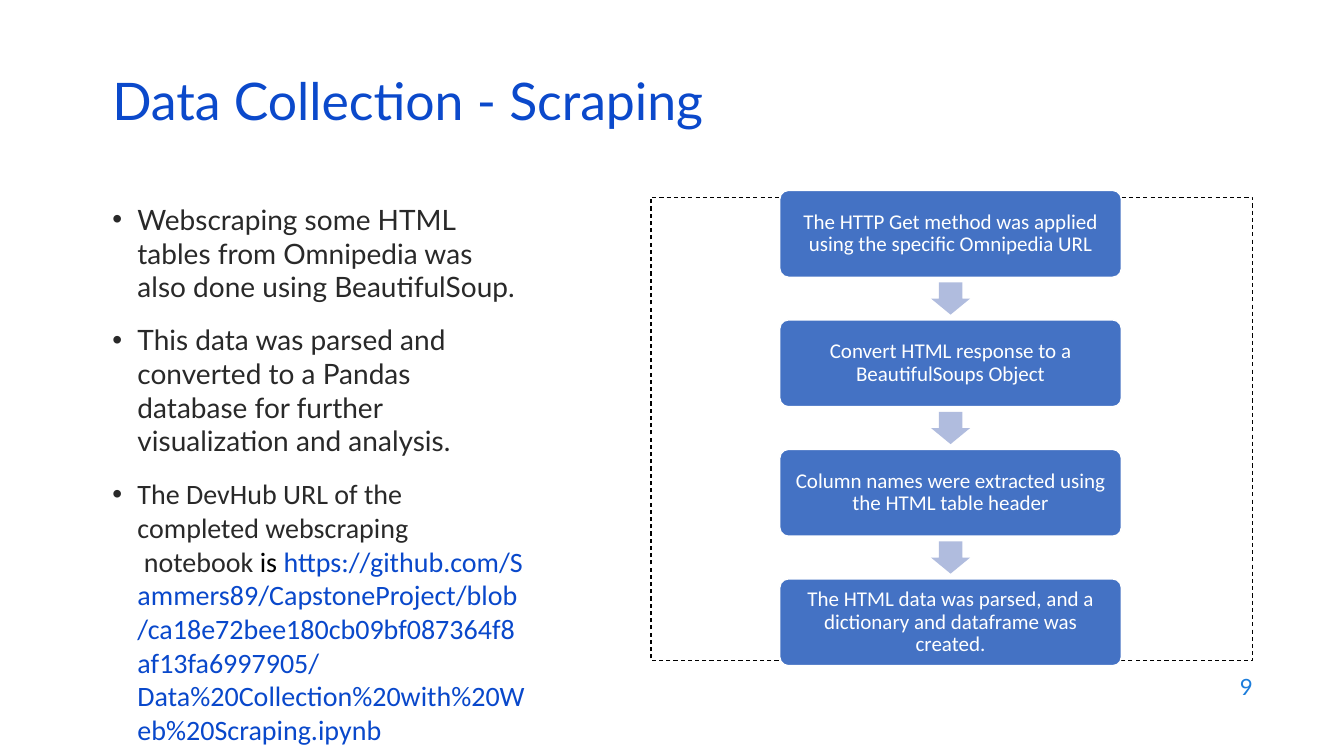
from lxml.etree import SubElement
from pptx import Presentation
from pptx.dml.color import RGBColor
from pptx.enum.dml import MSO_LINE
from pptx.enum.shapes import MSO_SHAPE
from pptx.enum.text import MSO_ANCHOR, MSO_AUTO_SIZE, PP_ALIGN
from pptx.oxml.ns import qn
from pptx.util import Pt

COLORS = {
    "title": "0B49CB",
    "body": "292929",
    "black": "000000",
    "link": "0948CB",
    "number": "1C7DDB",
    "step": "4472C4",
    "arrow": "B0BCDE",
    "white": "FFFFFF",
}
NBSP = chr(160)
URL = (
    "https://github.com/Sammers89/CapstoneProject/blob/"
    "ca18e72bee180cb09bf087364f8af13fa6997905/"
    "Data%20Collection%20with%20Web%20Scraping.ipynb"
)
BULLETS = [
    [("Webscraping some HTML tables from Omnipedia was also done using BeautifulSoup.", "Lato", "body")],
    [("This data was parsed and converted to a Pandas database for further visualization and analysis.", "Lato", "body")],
    [
        (f"The DevHub URL of the completed webscraping {NBSP}notebook{NBSP}", "Calibri", "body"),
        (f"is{NBSP}", "Calibri", "black"),
        (URL, "Calibri", "link"),
    ],
]
STEPS = [
    "The HTTP Get method was applied using the specific Omnipedia URL",
    "Convert HTML response to a BeautifulSoups Object",
    "Column names were extracted using the HTML table header",
    "The HTML data was parsed, and a dictionary and dataframe was created.",
]


def rgb(name):
    return RGBColor.from_string(COLORS[name])


def add_text(para, text, size, color, font="Lato", align=None, spacing=None):
    if align is not None:
        para.alignment = align
    if spacing is not None:
        para.line_spacing = spacing
    span = para.add_run()
    span.text = text
    span.font.name = font
    span.font.size = Pt(size)
    span.font.color.rgb = rgb(color)


class SlideBuilder:
    def __init__(self, page):
        self.page = page
        self.step_size = 15
        self.body_size = 20

    def place(self, shape, left, top, width, height):
        shape.left, shape.top = Pt(left), Pt(top)
        shape.width, shape.height = Pt(width), Pt(height)

    def title(self, text, *bounds):
        shape = self.page.shapes.title
        self.place(shape, *bounds)
        box = shape.text_frame
        box.auto_size = MSO_AUTO_SIZE.NONE
        box.vertical_anchor = MSO_ANCHOR.MIDDLE
        add_text(box.paragraphs[0], text, 37, "title", align=PP_ALIGN.LEFT, spacing=0.7)

    def bullets(self, items, *bounds):
        shape = self.page.placeholders[1]
        self.place(shape, *bounds)
        box = shape.text_frame
        box.auto_size = MSO_AUTO_SIZE.NONE
        for index, spans in enumerate(items):
            para = box.add_paragraph() if index else box.paragraphs[0]
            para.space_before = Pt(14 if index else 0)
            properties = para._p.get_or_add_pPr()
            properties.set("marL", str(Pt(18)))
            properties.set("indent", str(Pt(-18)))
            SubElement(properties, qn("a:buFont"), typeface="Arial")
            SubElement(properties, qn("a:buChar"), char="•")
            for text, font, color in spans:
                add_text(para, text, self.body_size, color, font=font)

    def label(self, text, *bounds):
        shape = self.page.shapes.add_textbox(*map(Pt, bounds))
        box = shape.text_frame
        box.word_wrap = True
        box.vertical_anchor = MSO_ANCHOR.MIDDLE
        add_text(box.paragraphs[0], text, 16, "number", align=PP_ALIGN.RIGHT)

    def shape(self, kind, bounds, fill=None, line=None, weight=1, adjustments=()):
        shape = self.page.shapes.add_shape(kind, *map(Pt, bounds))
        shape.shadow.inherit = False
        if fill:
            shape.fill.solid()
            shape.fill.fore_color.rgb = rgb(fill)
        else:
            shape.fill.background()
        if line:
            shape.line.color.rgb = rgb(line)
            shape.line.width = Pt(weight)
        else:
            shape.line.fill.background()
        for index, value in enumerate(adjustments):
            shape.adjustments[index] = value
        return shape

    def frame(self, *bounds):
        shape = self.shape(MSO_SHAPE.RECTANGLE, bounds, line="black", weight=0.75)
        shape.line.dash_style = MSO_LINE.DASH

    def step(self, text, *bounds):
        shape = self.shape(
            MSO_SHAPE.ROUNDED_RECTANGLE, bounds, fill="step", line="white", adjustments=[0.1]
        )
        box = shape.text_frame
        box.word_wrap = True
        box.vertical_anchor = MSO_ANCHOR.MIDDLE
        box.margin_left = box.margin_right = box.margin_top = box.margin_bottom = Pt(6)
        add_text(
            box.paragraphs[0], text, self.step_size, "white",
            font="Calibri", align=PP_ALIGN.CENTER, spacing=0.9,
        )

    def arrow(self, *bounds):
        self.shape(MSO_SHAPE.DOWN_ARROW, bounds, fill="arrow", adjustments=[0.6, 0.5])


def main():
    deck = Presentation()
    deck.slide_width, deck.slide_height = Pt(960), Pt(540)
    builder = SlideBuilder(deck.slides.add_slide(deck.slide_layouts[1]))
    builder.title("Data Collection - Scraping", 73, 55, 900 - 73, 43)
    builder.bullets(BULLETS, 73, 141, 309.6, 300)
    builder.label("9", 686, 474.5, 216, 31.7)
    builder.frame(465, 141, 430, 331)

    left, top, width, height, pitch = 557, 136, 244, 62, 92.5
    arrow_width, arrow_height = 28, 23
    for index, text in enumerate(STEPS):
        step_top = top + index * pitch
        builder.step(text, left, step_top, width, height)
        if index < len(STEPS) - 1:
            arrow_left = left + (width - arrow_width) / 2
            arrow_top = step_top + (height + pitch - arrow_height) / 2
            builder.arrow(arrow_left, arrow_top, arrow_width, arrow_height)
    deck.save("out.pptx")


if __name__ == "__main__":
    main()
